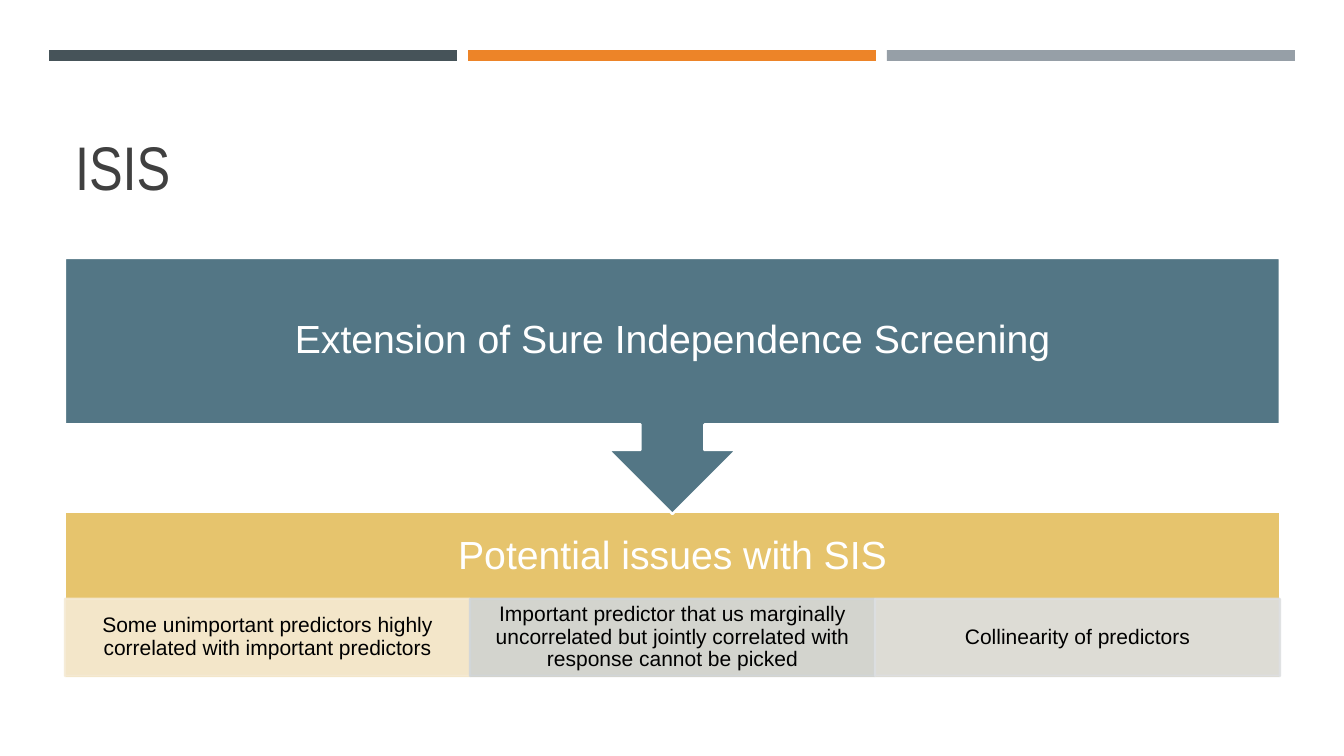
from lxml import etree
from pptx import Presentation
from pptx.dml.color import RGBColor
from pptx.enum.shapes import MSO_SHAPE
from pptx.enum.text import MSO_ANCHOR, MSO_AUTO_SIZE, PP_ALIGN
from pptx.oxml.ns import qn
from pptx.util import Emu, Pt

RECT, CALL = MSO_SHAPE.RECTANGLE, MSO_SHAPE.DOWN_ARROW_CALLOUT
MID, LOW = MSO_ANCHOR.MIDDLE, MSO_ANCHOR.BOTTOM
LEFT, MIDDLE = PP_ALIGN.LEFT, PP_ALIGN.CENTER
NONE = MSO_AUTO_SIZE.NONE

WIDE, HIGH = 1344, 756
TITLE = "ISIS"
LEAD = "Extension of Sure Independence Screening"
HEAD = "Potential issues with SIS"
BARS = ["465359", "ED8428", "969FA7"]
ISSUES = [
    ("Some unimportant predictors highly correlated with important predictors", "F5EAD4"),
    ("Important predictor that us marginally uncorrelated but jointly correlated "
     "with response cannot be picked", "D1D6D9"),
    ("Collinearity of predictors", "DDDFE1"),
]
EDGE, CELL = 65, 405
SPAN = CELL * len(ISSUES)
BAR, GAP = 408, 11
TOP, DEEP = 512, 166
ROW, TALL = 599, 77


def px(n):
    return Emu(round(n * 914400 / 100.8))


def color(code):
    return RGBColor.from_string(code)


def fade(fill, alpha):
    tint = fill._xPr.find(qn("a:solidFill"))[0]
    etree.SubElement(tint, qn("a:alpha")).set("val", str(alpha * 1000))


def box(x, y, w, h, fill, line=None, kind=RECT, alpha=100):
    part = slide.shapes.add_shape(kind, px(x), px(y), px(w), px(h))
    part.shadow.inherit = False
    part.fill.solid()
    part.fill.fore_color.rgb = color(fill)
    if line:
        part.line.color.rgb = color(line)
        part.line.width = Pt(1.75)
    else:
        part.line.fill.background()
    if alpha < 100:
        fade(part.fill, alpha)
        fade(part.line.fill, alpha)
    return part


def write(part, text, size=28, font="Arial", tone="FFFFFF", align=MIDDLE,
          anchor=MID, pad=(22, 22, 22, 22)):
    frame = part.text_frame
    frame.text = text
    frame.word_wrap = True
    frame.auto_size = NONE
    frame.vertical_anchor = anchor
    (frame.margin_left, frame.margin_top,
     frame.margin_right, frame.margin_bottom) = map(px, pad)
    para = frame.paragraphs[0]
    para.alignment = align
    para.line_spacing = 0.9
    face = para.runs[0].font
    face.size = Pt(size)
    face.name = font
    face.color.rgb = color(tone)


deck = Presentation()
deck.slide_width, deck.slide_height = px(WIDE), px(HIGH)
slide = deck.slides.add_slide(deck.slide_layouts[5])

for i, tone in enumerate(BARS):
    box(49 + i * (BAR + GAP), 50, BAR, 11, tone)

title = slide.shapes.title
title.left, title.top, title.width, title.height = map(px, (EDGE, 78, SPAN, 131))
write(title, TITLE, size=44, font="Arial Narrow", tone="404040", align=LEFT,
      anchor=LOW, pad=(10, 5, 10, 5))

base = box(EDGE, TOP, SPAN, DEEP, "E6C46D", "FFFFFF")
write(base, HEAD, pad=(22, 22, 22, 98))

for i, (text, tone) in enumerate(ISSUES):
    cell = box(EDGE + i * CELL, ROW, CELL, TALL, tone, tone, alpha=90)
    write(cell, text, size=15, tone="000000", pad=(12, 2, 12, 2))

lead = box(EDGE, 258, SPAN, 256, "537685", "FFFFFF", CALL)
write(lead, LEAD)

deck.save("out.pptx")
